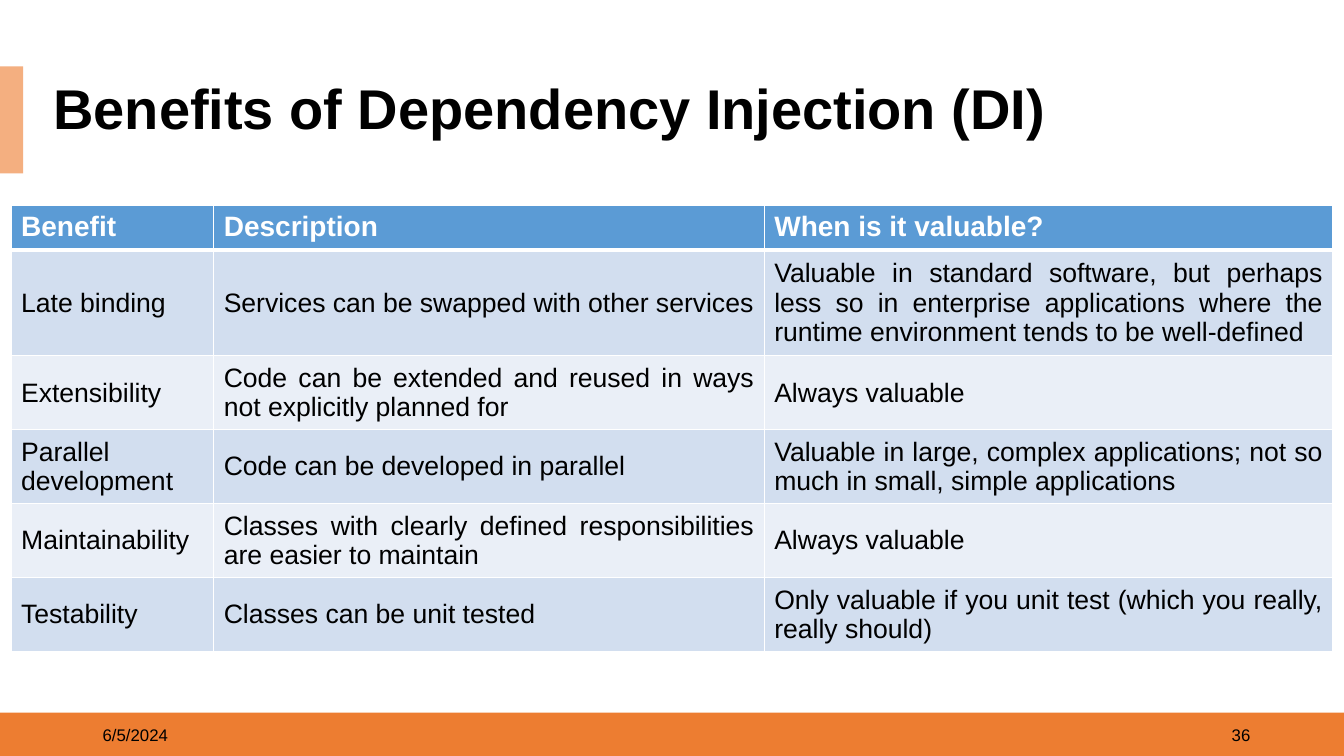
from lxml import etree
from pptx import Presentation
from pptx import util as u
from pptx.dml.color import RGBColor
from pptx.enum import shapes, text
from pptx.oxml.ns import qn

TITLE = "Benefits of Dependency Injection (DI)"
DATE, NUMBER = "6/5/2024", "36"
HEADER = ("Benefit", "Description", "When is it valuable?")
# Lines of text in the tallest cell, then the cells
BENEFITS = [
    (3, "Late binding", "Services can be swapped with other services",
     "Valuable in standard software, but perhaps less so in enterprise "
     "applications where the runtime environment tends to be well-defined"),
    (2, "Extensibility",
     "Code can be extended and reused in ways not explicitly planned for",
     "Always valuable"),
    (2, "Parallel development", "Code can be developed in parallel",
     "Valuable in large, complex applications; not so much in small, "
     "simple applications"),
    (2, "Maintainability",
     "Classes with clearly defined responsibilities are easier to maintain",
     "Always valuable"),
    (2, "Testability", "Classes can be unit tested",
     "Only valuable if you unit test (which you really, really should)"),
]
FONT = "Arial"
BLACK, WHITE = "000000", "FFFFFF"
ORANGE, PEACH = "ED7D31", "F4AF80"
HEAD_FILL, BANDS = "5B9BD5", ("D2DEEF", "EAEFF7")
W, H = 13.33, 7.5
COLUMNS = (2.01, 5.46, 5.64)
HEAD_H, LINE_H, CELL_PAD = 0.44, 0.295, 0.1
LEFT, RIGHT = text.PP_ALIGN.LEFT, text.PP_ALIGN.RIGHT
JUSTIFY = text.PP_ALIGN.JUSTIFY


def rgb(color):
    return RGBColor.from_string(color)


def box(*inches):
    return [u.Inches(n) for n in inches]


def write(tf, words, size, color=BLACK, bold=False, align=LEFT):
    tf.text = words
    tf.word_wrap = True
    p = tf.paragraphs[0]
    p.alignment = align
    font = p.runs[0].font
    font.name, font.size, font.bold = FONT, u.Pt(size), bold
    font.color.rgb = rgb(color)
    return p


def add_block(place, color):
    sp = s.shapes.add_shape(shapes.MSO_SHAPE.RECTANGLE, *box(*place))
    sp.shadow.inherit = False
    sp.fill.solid()
    sp.fill.fore_color.rgb = rgb(color)
    sp.line.fill.background()


def add_footer(left, words, align):
    tf = s.shapes.add_textbox(*box(left, 7.09, 3, 0.4)).text_frame
    write(tf, words, 12, align=align)
    tf.vertical_anchor = text.MSO_ANCHOR.MIDDLE


def add_borders(cell, **points):
    for side in "LRTB":
        ln = etree.SubElement(cell._tc.get_or_add_tcPr(), qn("a:ln" + side),
                              w=str(u.Pt(points.get(side, 1))))
        fill = etree.SubElement(ln, qn("a:solidFill"))
        etree.SubElement(fill, qn("a:srgbClr"), val=WHITE)


prs = Presentation()
prs.slide_width, prs.slide_height = box(W, H)
s = prs.slides.add_slide(prs.slide_layouts[5])

# Footer band and title accent
add_block((0, 7.07, W, H - 7.07), ORANGE)
add_block((0, 0.66, 0.23, 1.06), PEACH)
add_footer(0.92, DATE, LEFT)
add_footer(9.5, NUMBER, RIGHT)

# Title
title = s.shapes.title
title.left, title.top, title.width, title.height = box(0.43, 0.79, 12.2, 0.63)
write(title.text_frame, TITLE, 40, bold=True).line_spacing = 0.9
title.text_frame.vertical_anchor = text.MSO_ANCHOR.MIDDLE
title.text_frame.auto_size = text.MSO_AUTO_SIZE.NONE

# Table
heights = [HEAD_H] + [CELL_PAD + LINE_H * row[0] for row in BENEFITS]
rows = [HEADER] + [row[1:] for row in BENEFITS]
table = s.shapes.add_table(len(rows), len(COLUMNS), *box(
    0.11, 2.04, sum(COLUMNS), sum(heights))).table
for column, width in zip(table.columns, COLUMNS):
    column.width = u.Inches(width)
for i, (words, height) in enumerate(zip(rows, heights)):
    table.rows[i].height = u.Inches(height)
    for j, word in enumerate(words):
        cell = table.cell(i, j)
        if i == 0:
            write(cell.text_frame, word, 20, WHITE, True)
            add_borders(cell, B=3)
        else:
            write(cell.text_frame, word, 19, align=JUSTIFY if j else LEFT)
            cell.vertical_anchor = text.MSO_ANCHOR.MIDDLE
            add_borders(cell, T=3 if i == 1 else 1)
        cell.fill.solid()
        cell.fill.fore_color.rgb = rgb(BANDS[(i - 1) % 2] if i else HEAD_FILL)

prs.save("out.pptx")
